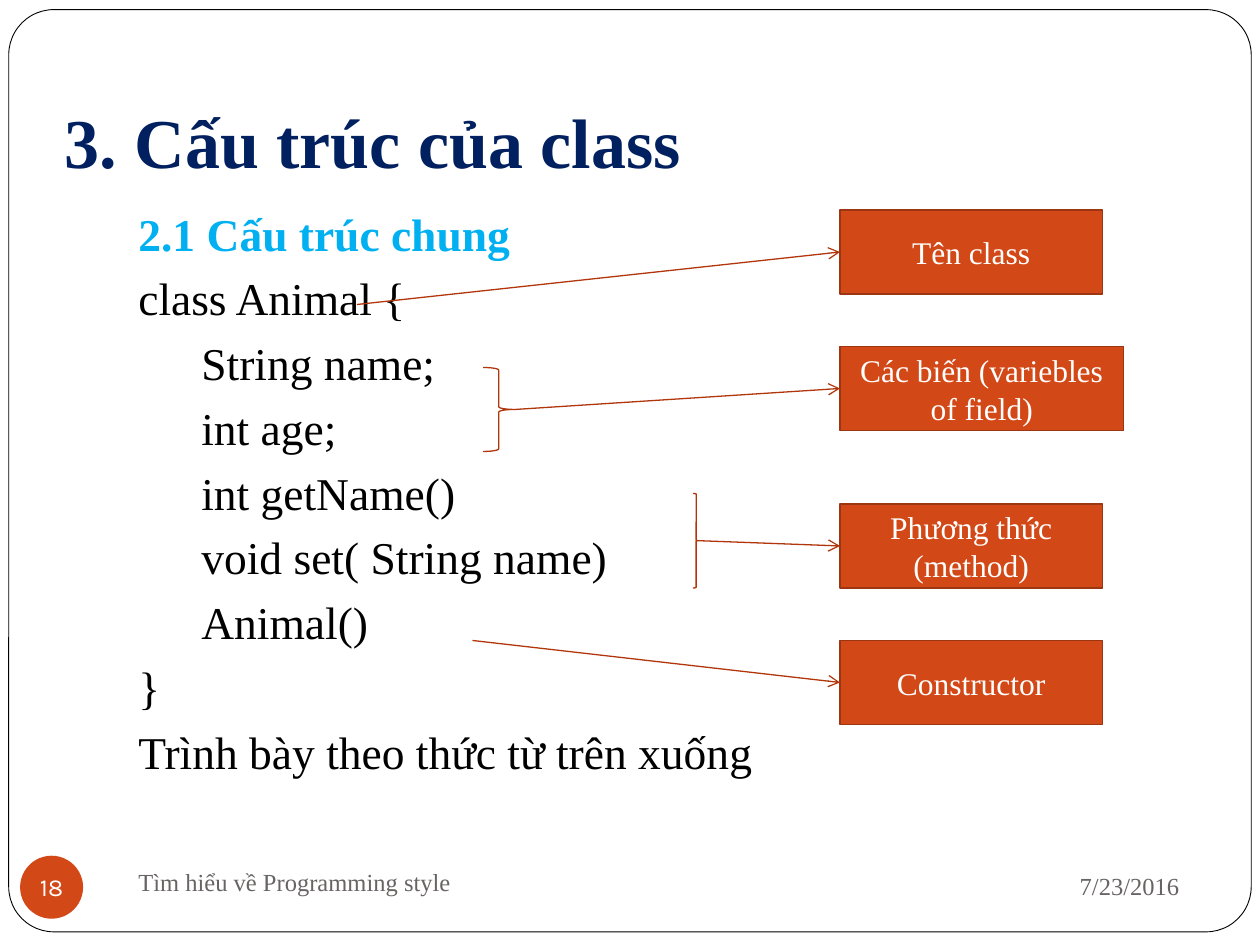
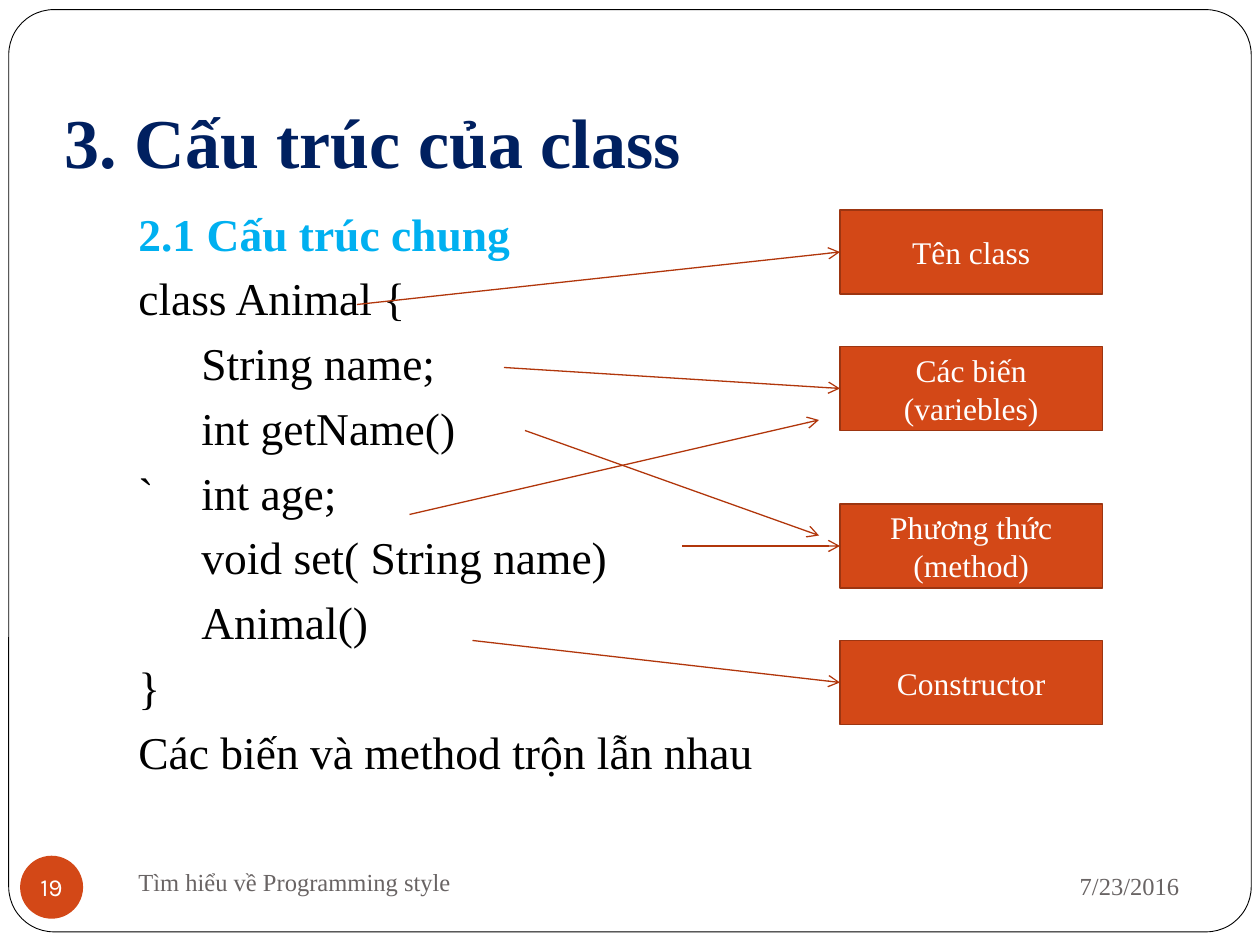
from dataclasses import dataclass

from lxml import etree
from pptx import Presentation
from pptx.dml.color import RGBColor
from pptx.enum.shapes import MSO_CONNECTOR, MSO_SHAPE
from pptx.enum.text import MSO_ANCHOR, PP_ALIGN
from pptx.oxml.ns import qn
from pptx.util import Pt

LEFT, CENTER, RIGHT = PP_ALIGN.LEFT, PP_ALIGN.CENTER, PP_ALIGN.RIGHT
TOP, MIDDLE, BOTTOM = MSO_ANCHOR.TOP, MSO_ANCHOR.MIDDLE, MSO_ANCHOR.BOTTOM
RECTANGLE, ROUNDED = MSO_SHAPE.RECTANGLE, MSO_SHAPE.ROUNDED_RECTANGLE
OVAL, BRACE = MSO_SHAPE.OVAL, MSO_SHAPE.RIGHT_BRACE
STRAIGHT = MSO_CONNECTOR.STRAIGHT


@dataclass(frozen=True)
class Theme:
    """Colours, fonts and type sizes of the deck."""
    paper: str = "FFFFFF"
    ink: str = "000000"
    title: str = "002060"
    heading: str = "00B0F0"
    muted: str = "696464"
    accent: str = "D34817"
    accent_edge: str = "9C3511"
    pointer: str = "B1360B"
    font: str = "Times New Roman"
    number_font: str = "Karla"
    title_size: float = 40
    body_size: float = 26
    label_size: float = 18
    footer_size: float = 14
    body_gap: float = 5.8


THEME = Theme()

# Boxes are left, top, width, height in points.
FRAME_BOX = (5, 5.5, 710, 527)
TITLE_BOX = (30, 21.6, 672, 90)
CODE_BOX = (72, 114, 612, 360)
DATE_BOX = (486, 487.5, 195, 37.5)
FOOTER_BOX = (72, 486, 312, 36)
NUMBER_BOX = (11.5, 489, 36, 36)
LABEL_LEFT, LABEL_WIDTH, LABEL_HEIGHT = 480, 150, 48
LABEL_TOPS = (120, 198, 288, 366)

TITLE = "3. Cấu trúc của class"
HEADING = "2.1 Cấu trúc chung"
FOOTER = "Tìm hiểu về Programming style"
DATE = "7/23/2016"
CLASS_START = (204, 174)
CONSTRUCTOR_START = (270, 366)


def color(value):
    """Turn a hex string into a colour."""
    return RGBColor.from_string(value)


def points(values):
    """Convert numbers to lengths in points."""
    return [Pt(value) for value in values]


def write(shape, lines, size, ink, align=LEFT, anchor=TOP, font=THEME.font):
    """Fill a shape with one paragraph per line and return its paragraphs."""
    frame = shape.text_frame
    frame.word_wrap = True
    frame.vertical_anchor = anchor
    frame.text = "\n".join(lines)
    for paragraph in frame.paragraphs:
        paragraph.alignment = align
        paragraph.font.name = font
        paragraph.font.size = Pt(size)
        paragraph.font.color.rgb = color(ink)
    return frame.paragraphs


def add_text(slide, box, lines, size, ink, **options):
    """Add a text box and return it with its paragraphs."""
    shape = slide.shapes.add_textbox(*points(box))
    return shape, write(shape, lines, size, ink, **options)


def add_preset(slide, kind, box, fill=None, line=None, width=1):
    """Add a flat preset shape with an optional fill and outline."""
    shape = slide.shapes.add_shape(kind, *points(box))
    shape.shadow.inherit = False
    if fill:
        shape.fill.solid()
        shape.fill.fore_color.rgb = color(fill)
    else:
        shape.fill.background()
    if line:
        shape.line.color.rgb = color(line)
        shape.line.width = Pt(width)
    else:
        shape.line.fill.background()
    return shape


def add_arrow(slide, start, end):
    """Draw a thin pointer with an open arrowhead at its end."""
    connector = slide.shapes.add_connector(STRAIGHT, *points(start + end))
    connector.line.color.rgb = color(THEME.pointer)
    connector.line.width = Pt(0.75)
    etree.SubElement(connector.line._get_or_add_ln(), qn("a:tailEnd"), type="arrow")
    etree.SubElement(connector._element.spPr, qn("a:effectLst"))


def add_brace(slide, box):
    """Draw a right brace and return its tip."""
    add_preset(slide, BRACE, box, line=THEME.pointer, width=0.75)
    left, top, width, height = box
    return left + width, top + height / 2


def add_page(slide, number):
    """Place the frame, title, date, footer and page number."""
    frame = add_preset(slide, ROUNDED, FRAME_BOX, THEME.paper, THEME.ink, 0.5)
    frame.adjustments[0] = 0.049
    title, paragraphs = add_text(slide, TITLE_BOX, [TITLE], THEME.title_size,
                                 THEME.title, anchor=BOTTOM)
    title.text_frame.margin_bottom = Pt(7.2)
    paragraphs[0].font.bold = True
    for box, text, align in ((DATE_BOX, DATE, RIGHT), (FOOTER_BOX, FOOTER, LEFT)):
        add_text(slide, box, [text], THEME.footer_size, THEME.muted,
                 align=align, anchor=MIDDLE)
    badge = add_preset(slide, OVAL, NUMBER_BOX, THEME.accent)
    write(badge, [str(number)], THEME.footer_size, THEME.paper,
          CENTER, MIDDLE, THEME.number_font)
    frame = badge.text_frame
    frame.word_wrap = False
    frame.margin_left = frame.margin_right = 0
    frame.margin_top = frame.margin_bottom = 0


def add_code(slide, box, members, remark):
    """Write the heading, the class listing and the closing remark."""
    lines = [HEADING, "class Animal {", *members, "}", remark]
    _, paragraphs = add_text(slide, box, lines, THEME.body_size, THEME.ink)
    for paragraph in paragraphs:
        paragraph.space_before = Pt(THEME.body_gap)
    paragraphs[0].font.bold = True
    paragraphs[0].font.color.rgb = color(THEME.heading)


def add_labels(slide, fields_label, fields_width):
    """Stack the four labels and return the left anchor of each."""
    labels = ((["Tên class"], LABEL_WIDTH),
              ([fields_label], fields_width),
              (["Phương thức", "(method)"], LABEL_WIDTH),
              (["Constructor"], LABEL_WIDTH))
    for (lines, width), top in zip(labels, LABEL_TOPS):
        shape = add_preset(slide, RECTANGLE, (LABEL_LEFT, top, width, LABEL_HEIGHT),
                           THEME.accent, THEME.accent_edge)
        write(shape, lines, THEME.label_size, THEME.paper, CENTER, MIDDLE)
    return [(LABEL_LEFT, top + LABEL_HEIGHT / 2) for top in LABEL_TOPS]


def add_class_slide(presentation, number, members, remark, fields_label,
                    fields_width=LABEL_WIDTH):
    """Build a class listing with labels; return the slide and two anchors."""
    slide = presentation.slides.add_slide(presentation.slide_layouts[6])
    add_page(slide, number)
    add_code(slide, CODE_BOX, members, remark)
    name, fields, methods, constructor = add_labels(slide, fields_label, fields_width)
    add_arrow(slide, CLASS_START, name)
    add_arrow(slide, CONSTRUCTOR_START, constructor)
    return slide, fields, methods


def add_ordered_slide(presentation):
    """Show members grouped by kind, each group held by a brace."""
    slide, fields, methods = add_class_slide(
        presentation, 18,
        ["\tString name;", "\tint age;", "\tint getName()",
         "\tvoid set( String name)", "\tAnimal()"],
        "Trình bày theo thức từ trên xuống",
        "Các biến (variebles of field)", 162)
    add_arrow(slide, add_brace(slide, (276, 210, 18, 48)), fields)
    add_arrow(slide, add_brace(slide, (396, 282, 3.6, 54)), methods)


def add_mixed_slide(presentation):
    """Show fields and methods mixed, each with its own arrow."""
    slide, fields, methods = add_class_slide(
        presentation, 19,
        ["\tString name;", "\tint getName()", "`\tint age;",
         "\tvoid set( String name)", "\tAnimal()"],
        "Các biến và method trộn lẫn nhau",
        "Các biến (variebles)")
    for start, end in (((288, 210), fields), ((390, 312), methods),
                       ((300, 246), (468, 306)), ((234, 294), (468, 240))):
        add_arrow(slide, start, end)


def main():
    """Build and save the deck."""
    presentation = Presentation()
    presentation.slide_width, presentation.slide_height = Pt(720), Pt(540)
    add_ordered_slide(presentation)
    add_mixed_slide(presentation)
    presentation.save("out.pptx")


main()
